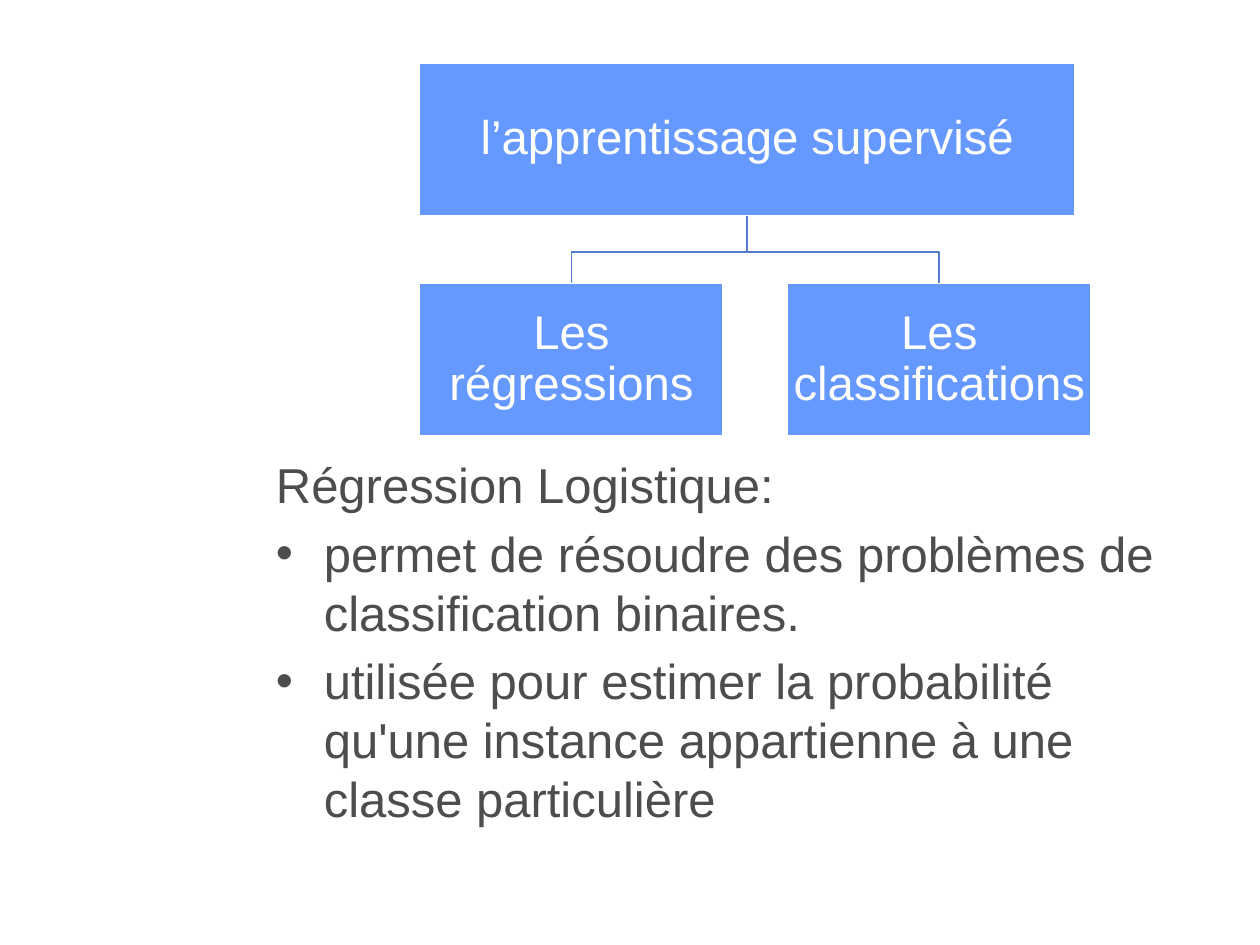
import pptx
import pptx.util
import pptx.dml.color
import pptx.enum.shapes
import pptx.enum.text
import pptx.oxml
import pptx.oxml.ns
from pptx.util import Inches

RGBColor = pptx.dml.color.RGBColor
BOX_BLUE = RGBColor(0x66, 0x99, 0xFF)
BRANCH_BLUE = RGBColor(0x52, 0x7B, 0xCC)
WHITE = RGBColor(0xFF, 0xFF, 0xFF)
TEXT_GREY = RGBColor(0x4D, 0x4D, 0x4D)


class SlideBuilder:
    font = "Arial"
    box_size = 27
    body_size = 28
    line_width = pptx.util.Pt(1)

    def __init__(self, slide):
        self.slide = slide

    def format_runs(self, paragraph, size, color):
        for run in paragraph.runs:
            run.font.name = self.font
            run.font.size = pptx.util.Pt(size)
            run.font.color.rgb = color

    def branch(self, points):
        start, *rest = [(Inches(x), Inches(y)) for x, y in points]
        builder = self.slide.shapes.build_freeform(*start)
        builder.add_line_segments(rest, close=False)
        line = builder.convert_to_shape()
        line.shadow.inherit = False
        line.fill.background()
        line.line.color.rgb = BRANCH_BLUE
        line.line.width = self.line_width

    def box(self, left, top, width, height, label):
        box = self.slide.shapes.add_shape(
            pptx.enum.shapes.MSO_SHAPE.RECTANGLE,
            Inches(left), Inches(top), Inches(width), Inches(height))
        box.shadow.inherit = False
        box.fill.solid()
        box.fill.fore_color.rgb = BOX_BLUE
        box.line.color.rgb = WHITE
        box.line.width = self.line_width
        frame = box.text_frame
        frame.word_wrap = True
        frame.vertical_anchor = pptx.enum.text.MSO_ANCHOR.MIDDLE
        frame.margin_left = frame.margin_right = Inches(0.02)
        frame.margin_top = frame.margin_bottom = Inches(0.02)
        frame.text = label
        paragraph = frame.paragraphs[0]
        paragraph.alignment = pptx.enum.text.PP_ALIGN.CENTER
        paragraph.line_spacing = 0.9
        self.format_runs(paragraph, self.box_size, WHITE)

    def body(self, left, top, width, height, heading, points):
        body = self.slide.placeholders[1]
        body.left, body.top = Inches(left), Inches(top)
        body.width, body.height = Inches(width), Inches(height)
        frame = body.text_frame
        frame.word_wrap = True
        frame.auto_size = pptx.enum.text.MSO_AUTO_SIZE.NONE
        frame.text = "\n".join([heading, *points])
        for index, paragraph in enumerate(frame.paragraphs):
            paragraph.space_before = pptx.util.Pt(5.6)
            paragraph.line_spacing = 1.0
            self.format_runs(paragraph, self.body_size, TEXT_GREY)
            self.set_bullet(paragraph, index > 0)

    def set_bullet(self, paragraph, bulleted):
        indent = Inches(0.38) if bulleted else 0
        properties = paragraph._p.get_or_add_pPr()
        properties.set("marL", str(indent))
        properties.set("indent", str(-indent))
        bullet = pptx.oxml.parse_xml(
            "<a:%s %s/>" % ('buChar char="•"' if bulleted else "buNone",
                            pptx.oxml.ns.nsdecls("a")))
        properties.append(bullet)


def main():
    presentation = pptx.Presentation()
    presentation.slide_width = Inches(10)
    presentation.slide_height = Inches(7.5)
    slide = presentation.slides.add_slide(presentation.slide_layouts[1])
    unused_title = slide.shapes.title.element
    unused_title.getparent().remove(unused_title)
    builder = SlideBuilder(slide)

    builder.body(2.09, 3.56, 7.56, 3.5, "Régression Logistique:", [
        "permet de résoudre des problèmes de classification binaires.",
        "utilisée pour estimer la probabilité qu'une instance appartienne "
        "à une classe particulière",
    ])

    left, root_top, root_width, box_height = 3.33, 0.5, 5.2, 1.21
    child_top, child_width, child_step = 2.25, 2.41, 2.92
    root_center, root_bottom, fork = left + root_width / 2, root_top + box_height, 2
    children = [(left + index * child_step, label) for index, label in
                enumerate(["Les régressions", "Les classifications"])]

    for child_left, _ in children:
        child_center = child_left + child_width / 2
        builder.branch([(root_center, root_bottom), (root_center, fork),
                        (child_center, fork), (child_center, child_top)])
    builder.box(left, root_top, root_width, box_height, "l’apprentissage supervisé")
    for child_left, label in children:
        builder.box(child_left, child_top, child_width, box_height, label)

    presentation.save("out.pptx")


if __name__ == "__main__":
    main()
